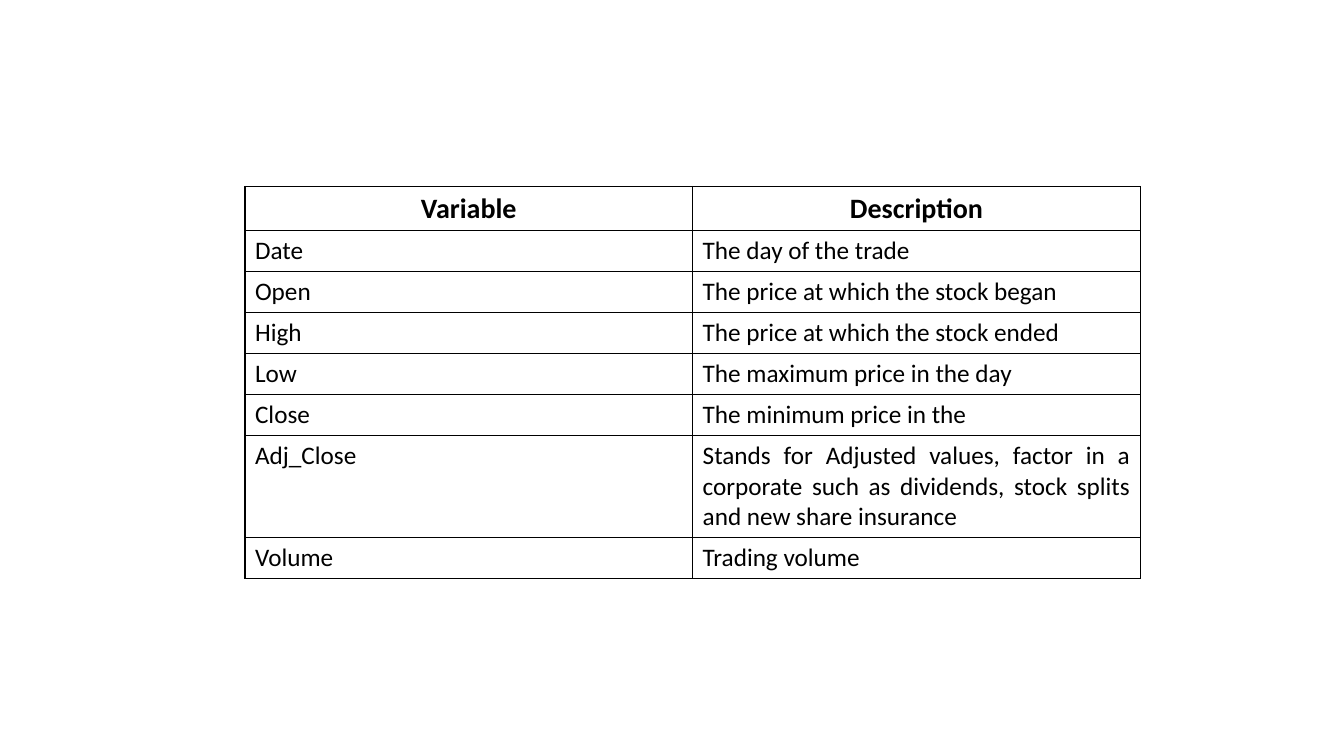
"""Build a slide with a table of stock data variables."""
import dataclasses

import lxml.etree
import pptx
import pptx.dml.color
import pptx.enum.text
import pptx.oxml.ns
import pptx.table
import pptx.util

Inches = pptx.util.Inches
Align = pptx.enum.text.PP_ALIGN


@dataclasses.dataclass(frozen=True)
class Theme:
    font: str = "Calibri"
    ink: str = "000000"
    paper: str = "FFFFFF"
    header_size: int = 20
    body_size: int = 18
    border_width: int = 1


@dataclasses.dataclass(frozen=True)
class VariableRow:
    variable: str
    description: str
    height: float = 0.4
    header: bool = False


THEME = Theme()
TABLE_LEFT, TABLE_TOP, COLUMN_WIDTH = 2.43, 1.85, 4.44
ROWS = [
    VariableRow("Variable", "Description", header=True),
    VariableRow("Date", "The day of the trade"),
    VariableRow("Open", "The price at which the stock began "),
    VariableRow("High", "The price at which the stock ended"),
    VariableRow("Low", "The maximum price in the day"),
    VariableRow("Close", "The minimum price in the "),
    VariableRow(
        "Adj_Close",
        "Stands for Adjusted values, factor in a corporate such as dividends, "
        "stock splits and new share insurance",
        height=0.99,
    ),
    VariableRow("Volume", "Trading volume"),
]


def add_borders(cell: pptx.table._Cell) -> None:
    """Draw a solid line on all four sides of a cell."""
    qn = pptx.oxml.ns.qn
    properties = cell._tc.get_or_add_tcPr()
    for side in ("a:lnL", "a:lnR", "a:lnT", "a:lnB"):
        line = lxml.etree.SubElement(
            properties, qn(side), w=str(pptx.util.Pt(THEME.border_width))
        )
        fill = lxml.etree.SubElement(line, qn("a:solidFill"))
        lxml.etree.SubElement(fill, qn("a:srgbClr"), val=THEME.ink)


def write_cell(cell: pptx.table._Cell, text: str, header: bool) -> None:
    """Fill, border and letter one cell."""
    add_borders(cell)
    cell.fill.solid()
    cell.fill.fore_color.rgb = pptx.dml.color.RGBColor.from_string(THEME.paper)
    para = cell.text_frame.paragraphs[0]
    para.text = text
    para.alignment = Align.CENTER if header else Align.JUSTIFY
    font = para.runs[0].font
    font.name = THEME.font
    font.size = pptx.util.Pt(THEME.header_size if header else THEME.body_size)
    font.bold = header
    font.color.rgb = pptx.dml.color.RGBColor.from_string(THEME.ink)


def main() -> None:
    """Build and save the deck."""
    deck = pptx.Presentation()
    deck.slide_width, deck.slide_height = Inches(13.33), Inches(7.5)
    page = deck.slides.add_slide(deck.slide_layouts[6])
    table = page.shapes.add_table(
        len(ROWS), 2, Inches(TABLE_LEFT), Inches(TABLE_TOP),
        Inches(2 * COLUMN_WIDTH), Inches(sum(row.height for row in ROWS)),
    ).table
    table.first_row = table.horz_banding = False
    for column in table.columns:
        column.width = Inches(COLUMN_WIDTH)
    for index, row in enumerate(ROWS):
        table.rows[index].height = Inches(row.height)
        for cell, text in zip(table.rows[index].cells, (row.variable, row.description)):
            write_cell(cell, text, row.header)
    deck.save("out.pptx")


if __name__ == "__main__":
    main()
